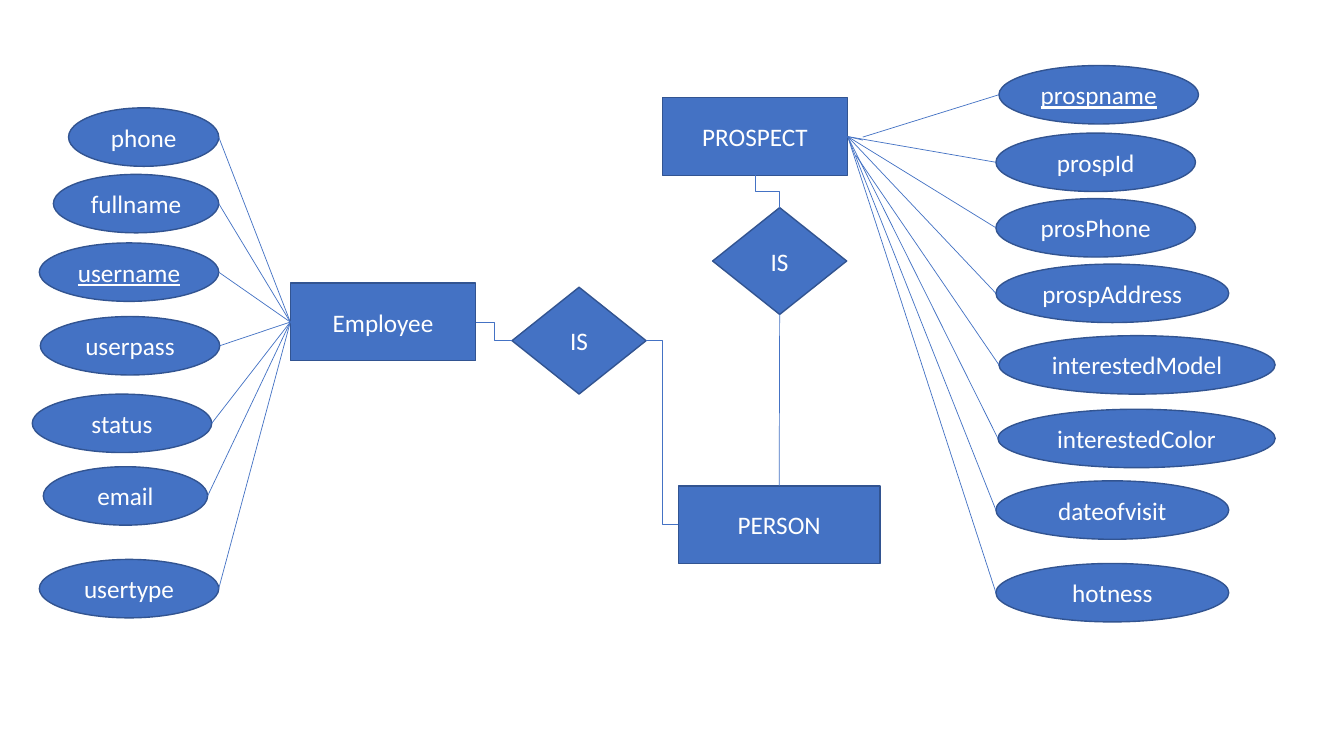
from pptx import Presentation
from pptx.dml.color import RGBColor
from pptx.enum.shapes import MSO_CONNECTOR as Link, MSO_SHAPE as Kind
from pptx.enum.text import MSO_ANCHOR as Anchor, PP_ALIGN as Align
from pptx.util import Inches, Pt
from lxml.etree import SubElement

COLS, ROWS = 133.33, 75
TOP, LEFT, BOTTOM, RIGHT = range(4)


def color(code):
    return RGBColor.from_string(code)


class Board:
    cell = Inches(0.1)
    fill, edge, ink = "4472C4", "325491", "FFFFFF"
    font, size = "Calibri", 18

    def __init__(self, deck):
        deck.slide_width, deck.slide_height = self.grid(COLS, ROWS)
        self.slide = deck.slides.add_slide(deck.slide_layouts[6])

    def grid(self, *cells):
        return [round(n * self.cell) for n in cells]

    def shape(self, kind, text, x, y, w, h, key=False):
        item = self.slide.shapes.add_shape(kind, *self.grid(x, y, w, h))
        item.shadow.inherit = False
        item.fill.solid()
        item.fill.fore_color.rgb = color(self.fill)
        item.line.color.rgb = color(self.edge)
        item.line.width = Pt(1)
        frame = item.text_frame
        frame.text = text
        frame.vertical_anchor = Anchor.MIDDLE
        para = frame.paragraphs[0]
        para.alignment = Align.CENTER
        font = para.runs[0].font
        font.name, font.size = self.font, Pt(self.size)
        font.color.rgb = color(self.ink)
        if key:
            font.underline = True
        return item

    def entity(self, text, x, y, w=18.4):
        return self.shape(Kind.RECTANGLE, text, x, y, w, 7.7)

    def relation(self, x, y):
        return self.shape(Kind.FLOWCHART_DECISION, "IS", x, y, 13.3, 10.6)

    def field(self, text, x, y, w, key=False):
        return self.shape(Kind.OVAL, text, x, y, w, 5.8, key)

    def wire(self, x1, y1, x2, y2, kind=Link.STRAIGHT):
        wire = self.slide.shapes.add_connector(kind, *map(round, (x1, y1, x2, y2)))
        wire.line.color.rgb = color(self.fill)
        wire.line.width = Pt(0.5)
        space = "{http://schemas.openxmlformats.org/drawingml/2006/main}"
        SubElement(wire._element.spPr, space + "effectLst")
        return wire

    def join(self, start, out, end, into, kind=Link.STRAIGHT):
        wire = self.wire(0, 0, 0, 0, kind)
        wire.begin_connect(start, out)
        wire.end_connect(end, into)

    def spoke(self, field, hub, side, tip=None):
        x = field.left + (field.width if side == LEFT else 0)
        y = field.top + field.height / 2
        if tip:
            self.wire(*self.grid(*tip), x, y)
        else:
            self.wire(x, y, x, y).end_connect(hub, side)

    def climb(self, low, high):
        x1, y1 = low.left + low.width / 2, low.top
        x2, y2 = high.left + high.width / 2, high.top + high.height
        x, y, dx, dy = (x1 + x2) / 2, (y1 + y2) / 2, (x1 - x2) / 2, (y1 - y2) / 2
        wire = self.wire(x - dy, y + dx, x + dy, y - dx, Link.ELBOW)
        wire._element.spPr.xfrm.set("rot", str(270 * 60000))


STAFF = [
    ("phone", 6.8, 10.7, 14.9),
    ("fullname", 5.3, 17.3, 16.4),
    ("username", 3.9, 24.1, 17.8, True),
    ("userpass", 4, 31.4, 17.8),
    ("status", 3.2, 39.1, 17.8),
    ("email", 4.3, 46.3, 16.3),
    ("usertype", 3.9, 55.5, 17.8),
]
LEADS = [
    ("prospname", 99.1, 6.5, 19.8, True),
    ("prospId", 98.8, 13.2, 19.8),
    ("prosPhone", 98.8, 19.7, 19.8),
    ("prospAddress", 98.8, 26.2, 23.1),
    ("interestedModel", 99.1, 33.3, 27.4),
    ("interestedColor", 99, 40.6, 27.5),
    ("dateofvisit", 98.8, 47.7, 23.1),
    ("hotness", 98.8, 55.9, 23.1),
]
TIPS = {"prospname": (85.6, 13.6), "interestedModel": (84.9, 15.4)}


def main():
    deck = Presentation()
    board = Board(deck)
    staff = board.entity("Employee", 28.8, 28.1)
    lead = board.entity("PROSPECT", 65.7, 9.7)
    person = board.entity("PERSON", 67.3, 48.2, 20)
    left = board.relation(50.8, 28.5)
    right = board.relation(70.7, 20.6)

    for hub, side, rows in ((staff, LEFT, STAFF), (lead, RIGHT, LEADS)):
        for row in rows:
            board.spoke(board.field(*row), hub, side, TIPS.get(row[0]))
    board.wire(*board.grid(85.6, 13.9, 84.2, 13.5)).end_connect(lead, RIGHT)

    board.join(staff, RIGHT, left, LEFT, Link.ELBOW)
    board.join(left, RIGHT, person, LEFT, Link.ELBOW)
    board.join(right, BOTTOM, person, TOP)
    board.climb(right, lead)
    deck.save("out.pptx")


if __name__ == "__main__":
    main()
